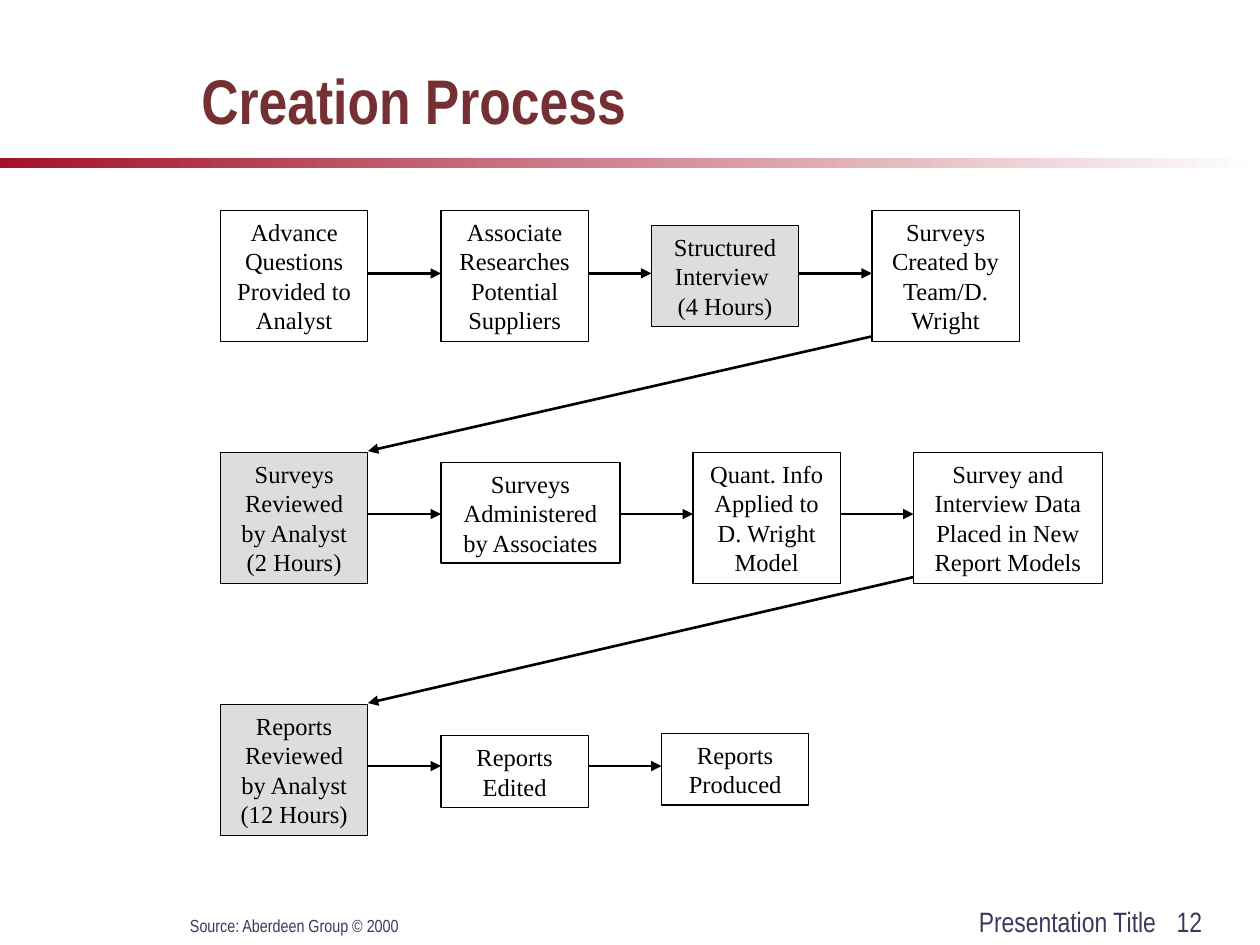
from dataclasses import dataclass

from lxml import etree
from pptx import Presentation
from pptx.dml.color import RGBColor
from pptx.enum import shapes, text
from pptx.oxml.ns import qn
from pptx.util import Inches, Pt


@dataclass(frozen=True)
class Theme:
    heading_font: str = "Arial Narrow"
    body_font: str = "Times New Roman"
    black: str = "000000"
    white: str = "FFFFFF"
    title: str = "743033"
    footer: str = "3B395B"
    band: str = "A41128"
    analyst: str = "DDDDDD"
    title_size: int = 36
    footer_size: int = 16
    source_size: int = 10
    step_size: int = 14
    border: float = 0.75
    arrow: float = 1.5


@dataclass(frozen=True)
class Step:
    label: str
    left: float
    top: float
    height: float = 1.04
    width: float = 1.17
    analyst: bool = False


@dataclass(frozen=True)
class Row:
    arrow_y: float
    steps: tuple[Step, ...]


@dataclass(frozen=True)
class Footer:
    label: str
    left: float
    top: float
    width: float
    height: float
    size: int


THEME = Theme()
WRAP_OFFSET = 0.5  # from a row's arrows to the ends of the slanted arrows

ROWS = (
    Row(2.17, (
        Step("Advance Questions Provided to Analyst", 1.75, 1.67),
        Step("Associate Researches Potential Suppliers", 3.5, 1.67),
        Step("Structured Interview \n(4 Hours)", 5.17, 1.79, 0.8, analyst=True),
        Step("Surveys Created by Team/D. Wright", 6.92, 1.67),
    )),
    Row(4.08, (
        Step("Surveys Reviewed by Analyst (2 Hours)", 1.75, 3.59, analyst=True),
        Step("Surveys Administered by Associates", 3.5, 3.67, 0.8, 1.42),
        Step("Quant. Info Applied to D. Wright Model", 5.5, 3.59),
        Step("Survey and Interview Data Placed in New Report Models",
             7.25, 3.59, width=1.5),
    )),
    Row(6.08, (
        Step("Reports Reviewed by Analyst (12 Hours)", 1.75, 5.59, analyst=True),
        Step("Reports Edited", 3.5, 5.84, 0.57),
        Step("Reports Produced", 5.25, 5.82, 0.57),
    )),
)

FOOTERS = (
    Footer("12", 9.24, 7.13, 1.03, 0.37, THEME.footer_size),
    Footer("Presentation Title", 7.67, 7.13, 1.61, 0.37, THEME.footer_size),
    Footer("Source: Aberdeen Group © 2000", 1.41, 7.21, 1.86, 0.27,
           THEME.source_size),
)


def rgb(value: str) -> RGBColor:
    return RGBColor.from_string(value)


def write(box, label: str, *, font: str, size: int, color: str,
          bold: bool = False, align=text.PP_ALIGN.LEFT,
          anchor=text.MSO_ANCHOR.TOP, wrap: bool = True,
          grow: bool = True) -> None:
    """Fill a shape with one formatted paragraph."""
    frame = box.text_frame
    frame.word_wrap = wrap
    frame.auto_size = (text.MSO_AUTO_SIZE.SHAPE_TO_FIT_TEXT if grow
                       else text.MSO_AUTO_SIZE.NONE)
    frame.vertical_anchor = anchor
    para = frame.paragraphs[0]
    para.text = label
    para.alignment = align
    for span in para.runs:
        span.font.name = font
        span.font.size = Pt(size)
        span.font.bold = bold
        span.font.color.rgb = rgb(color)


def add_band(page) -> None:
    band = page.shapes.add_shape(shapes.MSO_SHAPE.RECTANGLE, Inches(0),
                                 Inches(1.25), Inches(10), Inches(0.08))
    band.shadow.inherit = False
    band.line.fill.background()
    band.fill.gradient()
    band.fill.gradient_angle = 0
    for stop, color in zip(band.fill.gradient_stops, (THEME.band, THEME.white)):
        stop.color.rgb = rgb(color)


def add_title(page) -> None:
    box = page.shapes.add_textbox(Inches(1.5), Inches(0.33),
                                  Inches(7.67), Inches(0.92))
    write(box, "Creation Process", font=THEME.heading_font,
          size=THEME.title_size, color=THEME.title, bold=True,
          anchor=text.MSO_ANCHOR.MIDDLE, grow=False)


def add_footer(page, footer: Footer) -> None:
    box = page.shapes.add_textbox(Inches(footer.left), Inches(footer.top),
                                  Inches(footer.width), Inches(footer.height))
    write(box, footer.label, font=THEME.heading_font, size=footer.size,
          color=THEME.footer, wrap=False)


def add_step(page, step: Step):
    box = page.shapes.add_shape(shapes.MSO_SHAPE.RECTANGLE,
                                Inches(step.left), Inches(step.top),
                                Inches(step.width), Inches(step.height))
    box.shadow.inherit = False
    if step.analyst:
        box.fill.solid()
        box.fill.fore_color.rgb = rgb(THEME.analyst)
    else:
        box.fill.background()
    box.line.color.rgb = rgb(THEME.black)
    box.line.width = Pt(THEME.border)
    write(box, step.label, font=THEME.body_font, size=THEME.step_size,
          color=THEME.black, align=text.PP_ALIGN.CENTER,
          anchor=text.MSO_ANCHOR.MIDDLE)
    return box


def add_arrow(page, start_x: int, start_y: int, end_x: int, end_y: int):
    arrow = page.shapes.add_connector(shapes.MSO_CONNECTOR.STRAIGHT,
                                      start_x, start_y, end_x, end_y)
    arrow.line.color.rgb = rgb(THEME.black)
    arrow.line.width = Pt(THEME.arrow)
    etree.SubElement(arrow.line._get_or_add_ln(), qn("a:tailEnd"),
                     type="triangle")
    etree.SubElement(arrow._element.spPr, qn("a:effectLst"))
    return arrow


def join_steps(page, source, target, y: int) -> None:
    """Join neighbours, keeping the arrow level on the row's line."""
    arrow = add_arrow(page, source.left + source.width, y, target.left, y)
    arrow.begin_connect(source, 3)
    arrow.end_connect(target, 1)
    arrow.begin_y = y
    arrow.end_y = y


def main() -> None:
    deck = Presentation()
    deck.slide_width, deck.slide_height = Inches(10), Inches(7.5)
    page = deck.slides.add_slide(deck.slide_layouts[6])

    add_band(page)
    for footer in FOOTERS:
        add_footer(page, footer)
    add_title(page)

    grid = [[add_step(page, step) for step in row.steps] for row in ROWS]
    for row, boxes in zip(ROWS, grid):
        for source, target in zip(boxes, boxes[1:]):
            join_steps(page, source, target, Inches(row.arrow_y))
    for index in range(len(ROWS) - 1):
        last, first = grid[index][-1], grid[index + 1][0]
        add_arrow(page, last.left, Inches(ROWS[index].arrow_y + WRAP_OFFSET),
                  first.left + first.width,
                  Inches(ROWS[index + 1].arrow_y - WRAP_OFFSET))

    deck.save("out.pptx")


if __name__ == "__main__":
    main()
